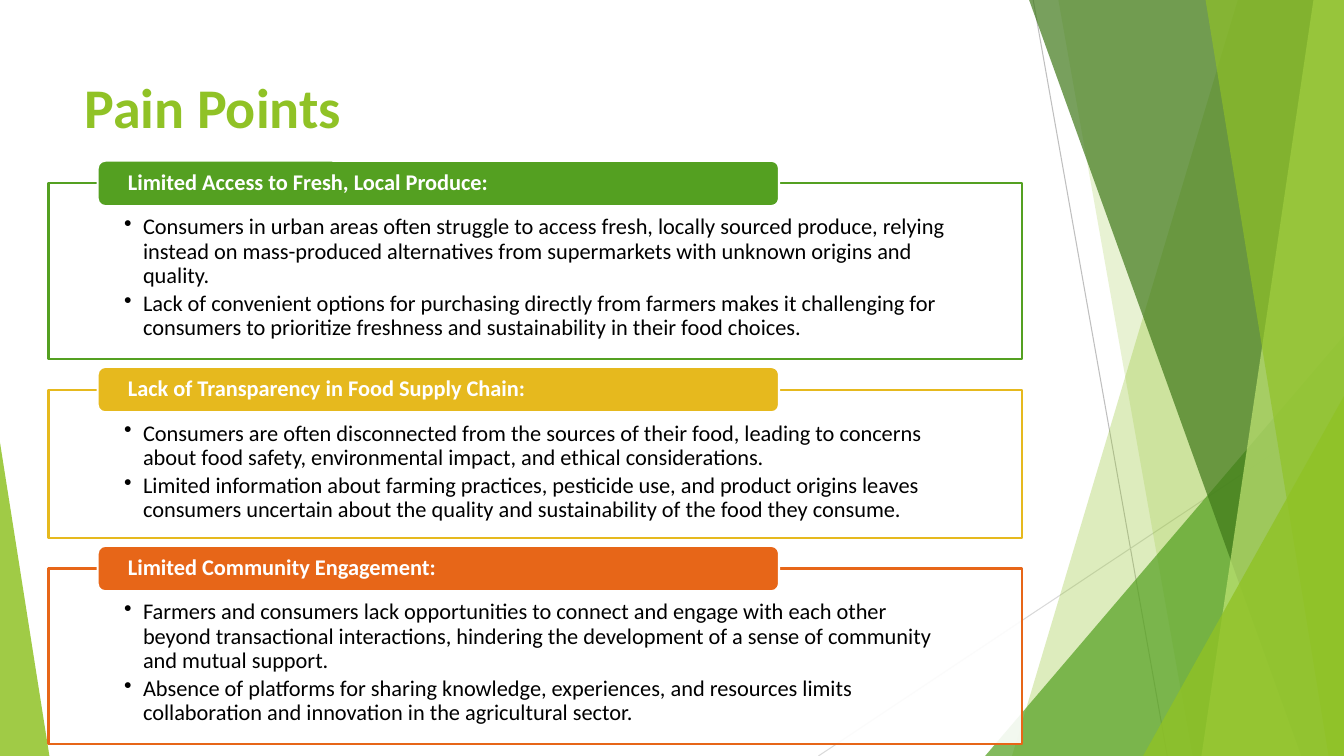
from dataclasses import dataclass

from lxml import etree
from pptx import Presentation
from pptx.dml.color import RGBColor
from pptx.enum.shapes import MSO_CONNECTOR, MSO_SHAPE
from pptx.enum.text import MSO_ANCHOR, PP_ALIGN
from pptx.oxml.ns import qn
from pptx.shapes.autoshape import Shape
from pptx.slide import Slide
from pptx.text.text import _Paragraph as Paragraph
from pptx.util import Pt

STRAIGHT = MSO_CONNECTOR.STRAIGHT
RECTANGLE = MSO_SHAPE.RECTANGLE
ROUNDED = MSO_SHAPE.ROUNDED_RECTANGLE
TRIANGLE = MSO_SHAPE.ISOSCELES_TRIANGLE
TOP, MIDDLE = MSO_ANCHOR.TOP, MSO_ANCHOR.MIDDLE
LEFT = PP_ALIGN.LEFT

WIDTH, HEIGHT = 960, 540
CARD_LEFT, CARD_WIDTH, FIRST_CARD_TOP, CARD_GAP = 34.7, 695.5, 131, 22
LABEL_LEFT, LABEL_WIDTH, LABEL_HEIGHT, LABEL_RISE = 69.8, 486.7, 32.4, 16.2


@dataclass(frozen=True)
class Theme:
    """Colours, font and type sizes of the slide."""

    font: str = "Calibri"
    lime: str = "90C226"
    pale_lime: str = "C0E474"
    green: str = "54A021"
    dark_green: str = "3F7819"
    gold: str = "E6B91E"
    orange: str = "E76618"
    white: str = "FFFFFF"
    black: str = "000000"
    gray: str = "BFBFBF"
    light_gray: str = "D9D9D9"
    title_size: float = 40
    text_size: float = 16


THEME = Theme()


@dataclass(frozen=True)
class Ray:
    """A thin background line."""

    start: tuple[float, float]
    end: tuple[float, float]
    color: str


@dataclass(frozen=True)
class Band:
    """A translucent facet reaching the right edge of the slide."""

    top_left: float
    bottom_left: float
    color: str
    opacity: int


@dataclass(frozen=True)
class Wedge:
    """A translucent right triangle standing on the bottom edge."""

    left: float
    top: float
    width: float
    apex: float
    color: str
    opacity: int


@dataclass(frozen=True)
class Card:
    """A pain point with its label and bullets."""

    label: str
    height: float
    color: str
    bullets: tuple[str, ...]


RAYS = (
    Ray((738, 0), (833.8, HEIGHT), THEME.gray),
    Ray((WIDTH, 290.2), (584.6, HEIGHT), THEME.light_gray),
)
FACETS = (
    Band(884.2, 722.9, THEME.lime, 30),
    Band(756, 851.8, THEME.lime, 20),
    Wedge(703.7, 239.8, 256.3, 1, THEME.green, 72),
    Band(735.1, 929.5, THEME.dark_green, 70),
    Band(938.2, 858.2, THEME.pale_lime, 70),
    Band(861.1, 949, THEME.lime, 65),
    Wedge(816.5, 283, 143.5, 1, THEME.lime, 80),
    Wedge(0, 316.1, 35.3, 0, THEME.lime, 85),
)
CARDS = (
    Card("Limited Access to Fresh, Local Produce:", 125.3, THEME.green, (
        "Consumers in urban areas often struggle to access fresh, locally sourced produce, relying "
        "instead on mass-produced alternatives from supermarkets with unknown origins and quality.",
        "Lack of convenient options for purchasing directly from farmers makes it challenging for "
        "consumers to prioritize freshness and sustainability in their food choices.",
    )),
    Card("Lack of Transparency in Food Supply Chain:", 105.8, THEME.gold, (
        "Consumers are often disconnected from the sources of their food, leading to concerns "
        "about food safety, environmental impact, and ethical considerations.",
        "Limited information about farming practices, pesticide use, and product origins leaves "
        "consumers uncertain about the quality and sustainability of the food they consume.",
    )),
    Card("Limited Community Engagement:", 125.3, THEME.orange, (
        "Farmers and consumers lack opportunities to connect and engage with each other beyond "
        "transactional interactions, hindering the development of a sense of community and mutual support.",
        "Absence of platforms for sharing knowledge, experiences, and resources limits "
        "collaboration and innovation in the agricultural sector.",
    )),
)


def paint(shape: Shape, color: str, opacity: int = 100, outline: str | None = None) -> None:
    """Set the fill, its opacity and the outline of a shape."""
    shape.shadow.inherit = False
    shape.fill.solid()
    shape.fill.fore_color.rgb = RGBColor.from_string(color)
    if opacity < 100:
        fill_color = shape.fill._xPr.find(qn("a:solidFill"))[0]
        etree.SubElement(fill_color, qn("a:alpha"), val=str(opacity * 1000))
    if outline:
        shape.line.color.rgb = RGBColor.from_string(outline)
        shape.line.width = Pt(1.5)
    else:
        shape.line.fill.background()


def set_frame(shape: Shape, side: float, top: float, bottom: float, anchor: MSO_ANCHOR) -> None:
    """Set wrapping, insets and anchor of a shape's text."""
    frame = shape.text_frame
    frame.word_wrap = True
    frame.margin_left = frame.margin_right = Pt(side)
    frame.margin_top, frame.margin_bottom = Pt(top), Pt(bottom)
    frame.vertical_anchor = anchor


def style(paragraph: Paragraph, size: float, color: str, bold: bool = False) -> None:
    """Set the alignment and font of a paragraph."""
    paragraph.alignment = LEFT
    font = paragraph.font
    font.name, font.size, font.bold = THEME.font, Pt(size), bold
    font.color.rgb = RGBColor.from_string(color)


def add_bullet(paragraph: Paragraph) -> None:
    """Give a paragraph a hanging round bullet."""
    properties = paragraph._p.get_or_add_pPr()
    properties.set("marL", str(Pt(13.5)))
    properties.set("indent", str(Pt(-13.5)))
    etree.SubElement(properties, qn("a:buChar"), char="•")


def draw_ray(slide: Slide, ray: Ray) -> None:
    """Draw a background line."""
    line = slide.shapes.add_connector(STRAIGHT, *map(Pt, ray.start + ray.end))
    line.line.color.rgb = RGBColor.from_string(ray.color)
    line.line.width = Pt(0.75)
    etree.SubElement(line._element.spPr, qn("a:effectLst"))


def draw_facet(slide: Slide, facet: Band | Wedge) -> None:
    """Draw a band or a wedge."""
    if isinstance(facet, Band):
        builder = slide.shapes.build_freeform(Pt(facet.top_left), 0)
        corners = ((WIDTH, 0), (WIDTH, HEIGHT), (facet.bottom_left, HEIGHT))
        builder.add_line_segments([(Pt(x), Pt(y)) for x, y in corners], close=True)
        shape = builder.convert_to_shape()
    else:
        shape = slide.shapes.add_shape(
            TRIANGLE, Pt(facet.left), Pt(facet.top), Pt(facet.width), Pt(HEIGHT - facet.top))
        shape.adjustments[0] = facet.apex
    paint(shape, facet.color, facet.opacity)


def draw_card(slide: Slide, card: Card, top: float) -> None:
    """Draw a bulleted frame with its label on the top edge."""
    box = slide.shapes.add_shape(RECTANGLE, Pt(CARD_LEFT), Pt(top), Pt(CARD_WIDTH), Pt(card.height))
    paint(box, THEME.white, 90, card.color)
    set_frame(box, 54, 23, 8.6, TOP)
    box.text_frame.text = "\n".join(card.bullets)
    for paragraph in box.text_frame.paragraphs:
        paragraph.line_spacing = 0.9
        paragraph.space_after = Pt(2.9)
        add_bullet(paragraph)
        style(paragraph, THEME.text_size, THEME.black)

    label = slide.shapes.add_shape(
        ROUNDED, Pt(LABEL_LEFT), Pt(top - LABEL_RISE), Pt(LABEL_WIDTH), Pt(LABEL_HEIGHT))
    paint(label, card.color, outline=THEME.white)
    set_frame(label, 20, 0, 0, MIDDLE)
    label.text_frame.text = card.label
    label.text_frame.paragraphs[0].line_spacing = 0.9
    style(label.text_frame.paragraphs[0], THEME.text_size, THEME.white, bold=True)


def main() -> None:
    """Build and save the slide."""
    presentation = Presentation()
    presentation.slide_width, presentation.slide_height = Pt(WIDTH), Pt(HEIGHT)
    slide = presentation.slides.add_slide(presentation.slide_layouts[6])
    for ray in RAYS:
        draw_ray(slide, ray)
    for facet in FACETS:
        draw_facet(slide, facet)
    title = slide.shapes.add_textbox(Pt(53.3), Pt(48.2), Pt(676.8), Pt(103.7))
    set_frame(title, 7.2, 3.6, 3.6, TOP)
    title.text_frame.text = "Pain Points"
    style(title.text_frame.paragraphs[0], THEME.title_size, THEME.lime, bold=True)
    top = FIRST_CARD_TOP
    for card in CARDS:
        draw_card(slide, card, top)
        top += card.height + CARD_GAP
    presentation.save("out.pptx")


if __name__ == "__main__":
    main()
